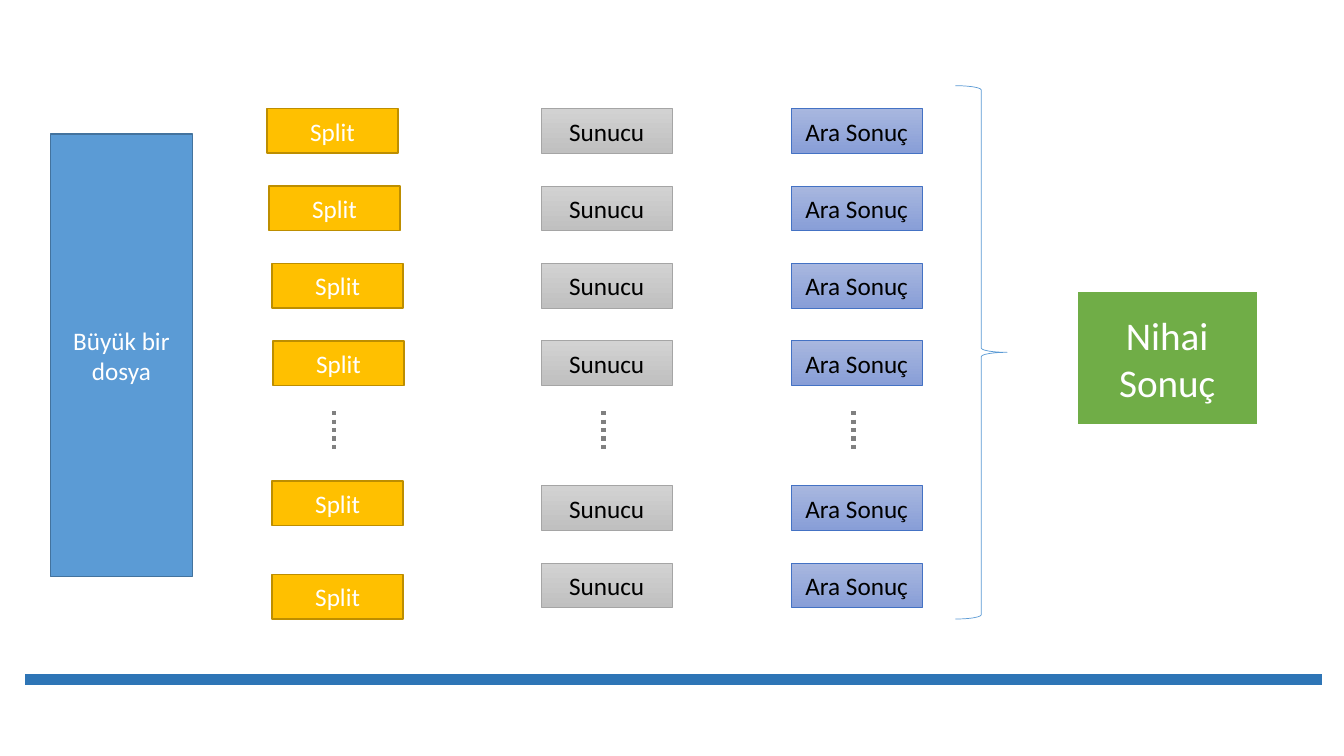
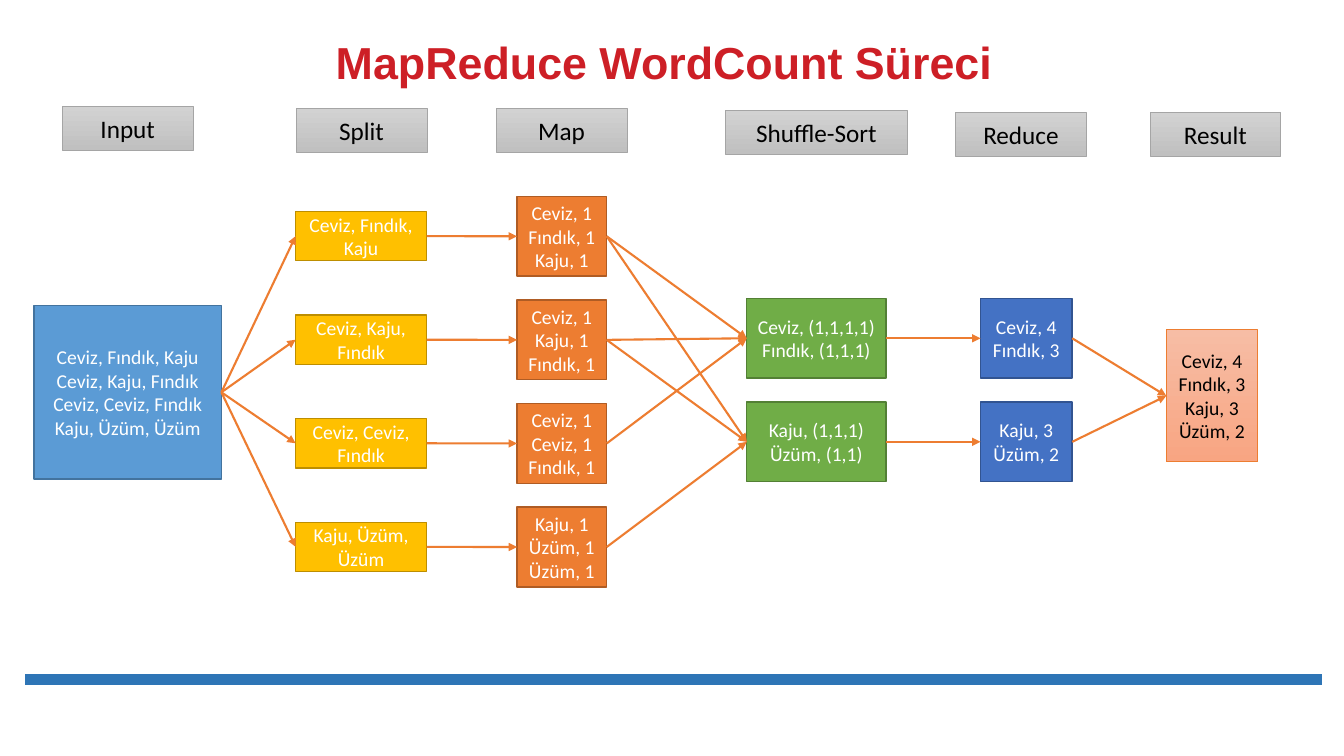
import itertools

import pptx
import pptx.dml.color
import pptx.enum.dml
import pptx.enum.shapes
import pptx.enum.text
import pptx.oxml
import pptx.util
from pptx.oxml.ns import qn

Cm, Pt = pptx.util.Cm, pptx.util.Pt
SHAPE = pptx.enum.shapes.MSO_SHAPE
ANCHOR = pptx.enum.text.MSO_ANCHOR
CENTER = pptx.enum.text.PP_ALIGN.CENTER
RIGHT_SIDE, LEFT_SIDE = 3, 1

COLORS = {
    "title": "CD1F26", "band": "2E75B6", "dots": "808080", "arrow": "ED7D31",
    "white": "FFFFFF", "black": "000000",
    "blue": "5B9BD5", "blue_edge": "43739E",
    "yellow": "FFC000", "yellow_edge": "BD8E00",
    "orange": "ED7D31", "orange_edge": "AF5C24",
    "green": "70AD47", "green_edge": "538035",
    "indigo": "4472C4", "indigo_edge": "325491",
    "gray_top": "D2D2D2", "gray_bottom": "C0C0C0", "gray_edge": "A5A5A5",
    "lilac_top": "A8B7DF", "lilac_bottom": "889ED7",
    "peach_top": "F7BDA5", "peach_bottom": "F8A582",
}

# Box styles: fill (two names make a gradient), edge, edge width, text colour
STYLES = {
    "file": (["blue"], "blue_edge", 1, "white"),
    "split": (["yellow"], "yellow_edge", 1, "white"),
    "map": (["orange"], "orange_edge", 1, "white"),
    "shuffle": (["green"], "green_edge", 1, "white"),
    "reduce": (["indigo"], "indigo_edge", 1, "white"),
    "final": (["green"], "white", 1.5, "white"),
    "server": (["gray_top", "gray_bottom"], "gray_edge", 0.5, "black"),
    "partial": (["lilac_top", "lilac_bottom"], "indigo", 0.5, "black"),
    "result": (["peach_top", "peach_bottom"], "orange", 0.5, "black"),
}
TITLE_FONT = {"name": "Arial", "size": Pt(32), "bold": True}
TITLE_PARA = {"alignment": CENTER, "line_spacing": 0.9}


def color(name):
    return pptx.dml.color.RGBColor.from_string(COLORS[name])


def apply(target, values):
    for name, value in values.items():
        setattr(target, name, value)


def place(shape, box):
    names = ("left", "top", "width", "height")
    apply(shape, dict(zip(names, map(Cm, box))))


def add_box(page, box, text, style, size=14):
    """Draw a labelled rectangle; each line of text is one paragraph."""
    fills, edge, edge_width, ink = STYLES[style]
    shape = page.shapes.add_shape(SHAPE.RECTANGLE, *map(Cm, box))
    shape.shadow.inherit = False
    if len(fills) == 1:
        shape.fill.solid()
        shape.fill.fore_color.rgb = color(fills[0])
    else:
        shape.fill.gradient()
        shape.fill.gradient_angle = 270
        for stop, name in zip(shape.fill.gradient_stops, fills):
            stop.color.rgb = color(name)
    shape.line.color.rgb = color(edge)
    shape.line.width = Pt(edge_width)
    frame = shape.text_frame
    apply(frame, {"word_wrap": True, "vertical_anchor": ANCHOR.MIDDLE})
    frame.text = text
    for para in frame.paragraphs:
        para.alignment = CENTER
        for span in para.runs:
            apply(span.font, {"name": "Calibri", "size": Pt(size)})
            span.font.color.rgb = color(ink)
    return shape


def add_line(page, start, end, ink, width):
    line = page.shapes.add_connector(
        pptx.enum.shapes.MSO_CONNECTOR.STRAIGHT, *map(Cm, start + end))
    line.line.color.rgb = color(ink)
    line.line.width = Pt(width)
    pptx.oxml.xmlchemy.OxmlElement  # element factory used for the next part
    line.element.spPr.append(pptx.oxml.xmlchemy.OxmlElement("a:effectLst"))
    return line


def add_arrow(page, source, target):
    """Join the right side of one box to the left side of another."""
    arrow = add_line(page, (0, 0), (1, 1), "arrow", 1.5)
    arrow.begin_connect(source, RIGHT_SIDE)
    arrow.end_connect(target, LEFT_SIDE)
    head = pptx.oxml.xmlchemy.OxmlElement("a:tailEnd")
    head.set("type", "triangle")
    arrow.element.spPr.find(qn("a:ln")).append(head)


def add_stack(page, box, pitch, texts, style):
    """Stack equal boxes downwards; box is the first one."""
    left, top, width, height = box
    return [add_box(page, (left, top + row * pitch, width, height), text, style)
            for row, text in enumerate(texts)]


def add_column(page, box, text, style, tops, shifts):
    """Draw one column of parallel items, with dots for those left out."""
    left, top, width, height = box
    for offset, shift in zip(tops, shifts):
        add_box(page, (left + shift, top + offset, width, height), text, style, 18)
    dots_x = left + 1.57
    dots = add_line(page, (dots_x, top + 7.62), (dots_x, top + 8.64), "dots", 3)
    dots.line.dash_style = pptx.enum.dml.MSO_LINE.ROUND_DOT


def add_brace(page, box):
    brace = page.shapes.add_shape(SHAPE.RIGHT_BRACE, *map(Cm, box))
    brace.shadow.inherit = False
    brace.fill.background()
    brace.line.color.rgb = color("blue")
    brace.line.width = Pt(0.5)


def add_title(page, box, text):
    title = page.shapes.title
    place(title, box)
    title.text_frame.text = text
    title.text_frame.vertical_anchor = ANCHOR.BOTTOM
    para = title.text_frame.paragraphs[0]
    apply(para, TITLE_PARA)
    apply(para.runs[0].font, TITLE_FONT)
    para.runs[0].font.color.rgb = color("title")


def add_headers(page, top):
    headers = [("Input", 1.57, 0, 3.3), ("Split", 7.46, 0.05, 3.3),
               ("Map", 12.5, 0.05, 3.3), ("Shuffle-Sort", 18.29, 0.1, 4.57),
               ("Reduce", 24.08, 0.15, 3.3), ("Result", 28.98, 0.15, 3.3)]
    for text, left, drop, width in headers:
        add_box(page, (left, top + drop, width, 1.12), text, "server", 18)


def build_overview(page):
    """A big file is split, processed in parallel and merged."""
    add_box(page, (1.27, 3.38, 3.58, 11.15), "Büyük bir dosya", "file", 18)
    upper = [row * 1.95 for row in range(4)]
    even = upper + [9.5, 11.45]
    columns = [
        (6.84, "Split", "split", upper + [9.38, 11.74],
         [-0.11, -0.06, 0.02, 0.04, 0.02, 0.02]),
        (13.64, "Sunucu", "server", even, itertools.repeat(0)),
        (19.94, "Ara Sonuç", "partial", even, itertools.repeat(0)),
    ]
    for left, text, style, tops, shifts in columns:
        add_column(page, (left, 2.74, 3.3, 1.12), text, style, tops, shifts)
    add_brace(page, (24.08, 2.16, 1.3, 13.44))
    add_box(page, (27.13, 7.32, 4.57, 3.4), "Nihai Sonuç", "final", 28)


def build_word_count(page):
    """The stages of the word count, joined by arrows."""
    add_title(page, (4.04, 0.58, 25.4, 1.8), "MapReduce WordCount Süreci")
    add_headers(page, 2.67)

    # Stages
    pitch = 2.61
    source = add_box(
        page, (0.86, 7.7, 4.72, 4.37),
        "Ceviz, Fındık, Kaju\nCeviz, Kaju, Fındık\n"
        "Ceviz, Ceviz, Fındık\nKaju, Üzüm, Üzüm", "file")
    splits = add_stack(
        page, (7.45, 5.33, 3.3, 1.24), pitch,
        ["Ceviz, Fındık, Kaju", "Ceviz, Kaju, Fındık",
         "Ceviz, Ceviz, Fındık", "Kaju, Üzüm, Üzüm"], "split")
    maps = add_stack(
        page, (13.03, 4.95, 2.26, 2.01), pitch,
        ["Ceviz, 1\nFındık, 1\nKaju, 1", "Ceviz, 1\nKaju, 1\nFındık, 1",
         "Ceviz, 1\nCeviz, 1\nFındık, 1", "Kaju, 1\nÜzüm, 1\nÜzüm, 1"], "map")
    shuffles = add_stack(
        page, (18.82, 7.52, 3.51, 2.01), pitch,
        ["Ceviz, (1,1,1,1)\nFındık, (1,1,1)", "Kaju, (1,1,1)\nÜzüm, (1,1)"],
        "shuffle")
    reduces = add_stack(
        page, (24.71, 7.52, 2.31, 2.01), pitch,
        ["Ceviz, 4\nFındık, 3", "Kaju, 3\nÜzüm, 2"], "reduce")
    result = add_box(page, (29.39, 8.31, 2.31, 3.33),
                     "Ceviz, 4\nFındık, 3\nKaju, 3\nÜzüm, 2", "result")

    # Arrows between the stages
    shuffled = [(0, 0), (1, 0), (2, 0), (0, 1), (1, 1), (3, 1)]
    pairs = itertools.chain(
        itertools.product([source], splits), zip(splits, maps),
        [(maps[start], shuffles[end]) for start, end in shuffled],
        zip(shuffles, reduces), itertools.product(reduces, [result]))
    for start, end in pairs:
        add_arrow(page, start, end)


def add_master_band(deck, page):
    """Draw the bottom band and move it to the master all slides share."""
    band = add_line(page, (0.64, 17.12), (33.32, 17.12), "band", 8)
    band.element.nvCxnSpPr.cNvPr.set("id", "100")
    deck.slide_master.element.cSld.spTree.append(band.element)


def main():
    deck = pptx.Presentation()
    deck.slide_width, deck.slide_height = Cm(33.87), Cm(19.05)
    title_only, blank = deck.slide_layouts[5], deck.slide_layouts[6]
    overview = deck.slides.add_slide(blank)
    add_master_band(deck, overview)
    build_overview(overview)
    build_word_count(deck.slides.add_slide(title_only))
    deck.save("out.pptx")


if __name__ == "__main__":
    main()
